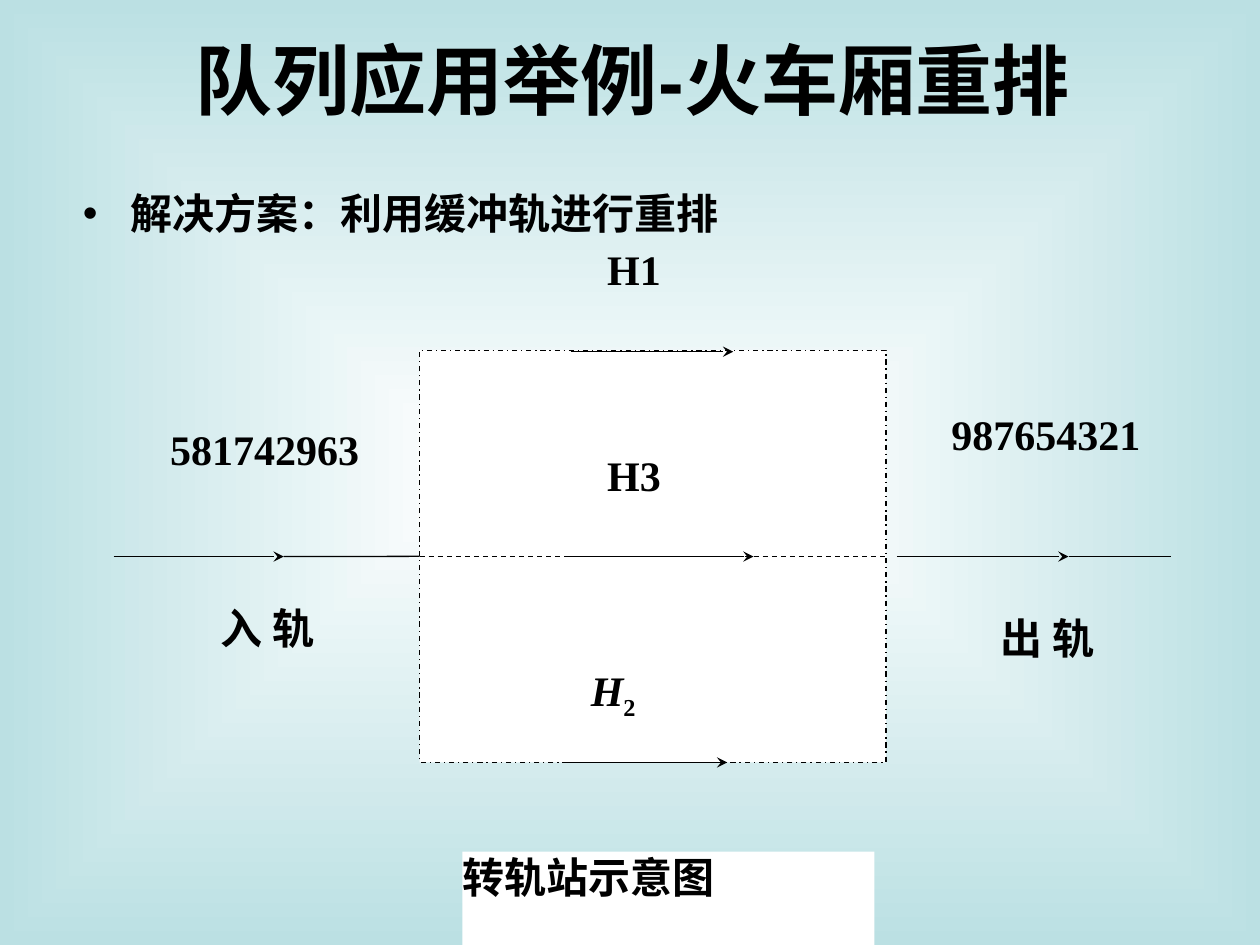
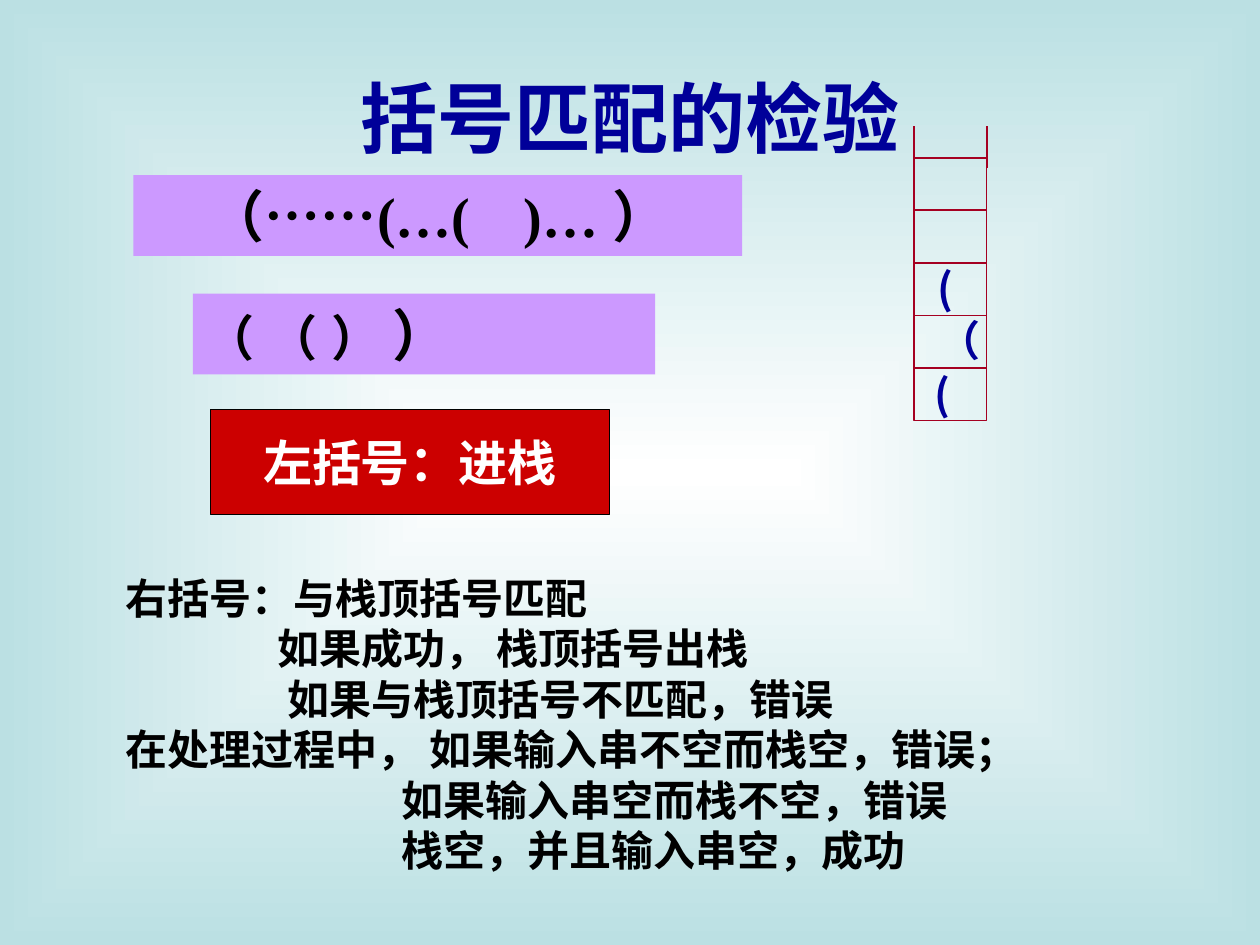
import pptx
import pptx.dml.color
import pptx.enum.dml
import pptx.enum.shapes
import pptx.enum.text
import pptx.oxml
import pptx.oxml.ns
import pptx.util

Cm = pptx.util.Cm
Pt = pptx.util.Pt
qn = pptx.oxml.ns.qn
ALIGN = pptx.enum.text.PP_ALIGN
ANCHOR = pptx.enum.text.MSO_ANCHOR
DASH = pptx.enum.dml.MSO_LINE

COLORS = {
    "ink": "000000",
    "white": "FFFFFF",
    "backdrop": "BBE0E3",
    "navy": "000099",
    "lilac": "CC99FF",
    "red": "CC0000",
    "stack": "A50021",
}
SERIF, SANS, CJK = "Times New Roman", "Arial", "Noto Sans CJK SC"
TRACK_Y = 11.22


def rgb(name):
    return pptx.dml.color.RGBColor.from_string(COLORS[name])


def child(parent, tag, **attributes):
    element = parent.makeelement(qn(tag), attributes)
    parent.append(element)
    return element


def paint_background(master):
    """Give every slide a rectangular gradient, white in the middle."""
    fill = master.background.fill
    fill.gradient()
    for stop, name in zip(fill.gradient_stops, ("white", "backdrop")):
        stop.color.rgb = rgb(name)
    gradient = master._element.find(".//" + qn("a:gradFill"))
    gradient.remove(gradient.find(qn("a:lin")))
    path = child(gradient, "a:path")
    path.set("path", "rect")
    child(path, "a:fillToRect", l="50000", t="50000", r="50000", b="50000")


def write(frame, text, size=24, font=SERIF, color="ink", italic=False, baseline=0,
          align=ALIGN.LEFT, indent=0, hanging=0, before=0, spacing=None, tabs=(),
          same_line=False):
    """Add a bold run, in a new paragraph unless same_line is set."""
    paragraph = frame.paragraphs[-1]
    if not same_line:
        if paragraph.runs:
            paragraph = frame.add_paragraph()
        paragraph.alignment = align
        paragraph.space_before = Pt(before)
        if spacing:
            paragraph.line_spacing = spacing
        properties = paragraph._p.get_or_add_pPr()
        properties.set("marL", str(Cm(indent)))
        properties.set("indent", str(Cm(-hanging)))
        if tabs:
            stops = child(properties, "a:tabLst")
            for position in tabs:
                child(stops, "a:tab", pos=str(Cm(position)), algn="l")
    run = paragraph.add_run()
    run.text = text
    run.font.size = Pt(size)
    run.font.bold = True
    run.font.italic = italic
    run.font.color.rgb = rgb(color)
    run.font.name = font
    run_properties = run.font._element
    child(run_properties, "a:ea", typeface=CJK)
    if baseline:
        run_properties.set("baseline", str(baseline * 1000))


def prepare(frame, margins=(0.25, 0.13), anchor=ANCHOR.TOP):
    frame.word_wrap = True
    frame.auto_size = pptx.enum.text.MSO_AUTO_SIZE.NONE
    frame.vertical_anchor = anchor
    frame.margin_left = frame.margin_right = Cm(margins[0])
    frame.margin_top = frame.margin_bottom = Cm(margins[1])
    return frame


def place(placeholder, left, top, width, height, anchor=ANCHOR.TOP):
    placeholder.left, placeholder.top = Cm(left), Cm(top)
    placeholder.width, placeholder.height = Cm(width), Cm(height)
    return prepare(placeholder.text_frame, anchor=anchor)


def set_title(slide, text, box, color="ink"):
    frame = place(slide.shapes.title, *box, anchor=ANCHOR.MIDDLE)
    write(frame, text, size=44, font=SANS, color=color, align=ALIGN.CENTER)


def text_area(slide, left, top, width, height, **format):
    box = slide.shapes.add_textbox(Cm(left), Cm(top), Cm(width), Cm(height))
    return prepare(box.text_frame, **format)


def label(slide, text, left, top, width, height, **format):
    """Diagram label without inner margins."""
    frame = text_area(slide, left, top, width, height, margins=(0, 0))
    write(frame, text, **format)
    return frame


def rectangle(slide, left, top, width, height, fill=None, line=None,
              line_width=0.75, dash=None):
    shape = slide.shapes.add_shape(pptx.enum.shapes.MSO_SHAPE.RECTANGLE,
                                   Cm(left), Cm(top), Cm(width), Cm(height))
    shape.shadow.inherit = False
    if fill:
        shape.fill.solid()
        shape.fill.fore_color.rgb = rgb(fill)
    else:
        shape.fill.background()
    if line:
        shape.line.color.rgb = rgb(line)
        shape.line.width = Pt(line_width)
        if dash:
            shape.line.dash_style = dash
    else:
        shape.line.fill.background()
    return shape


def straight(slide, x1, y1, x2, y2, color="ink", width=0.75, dash=None, arrow=False):
    connector = slide.shapes.add_connector(pptx.enum.shapes.MSO_CONNECTOR.STRAIGHT,
                                           Cm(x1), Cm(y1), Cm(x2), Cm(y2))
    connector.line.color.rgb = rgb(color)
    connector.line.width = Pt(width)
    if dash:
        connector.line.dash_style = dash
    properties = connector._element.spPr
    if arrow:
        child(properties.find(qn("a:ln")), "a:tailEnd", type="stealth")
    child(properties, "a:effectLst")
    return connector


def draw_tracks(slide):
    station = rectangle(slide, 8.46, 7.06, 9.4, 8.31, fill="white", line="ink",
                        dash=DASH.DASH_DOT)
    for start, end, arrow in ((2.29, 3.66, False), (3.66, 5.72, True),
                              (18.08, 20.17, False), (20.17, 21.54, True),
                              (21.54, 23.6, False)):
        straight(slide, start, TRACK_Y, end, TRACK_Y, arrow=arrow)
    entry = straight(slide, 5.72, TRACK_Y, 8.46, TRACK_Y)
    entry.end_connect(station, 1)
    through = straight(slide, 8.46, TRACK_Y, 17.86, TRACK_Y, dash=DASH.DASH)
    through.begin_connect(station, 1)
    through.end_connect(station, 3)
    for start, end, y in ((11.51, 14.78, 7.09), (11.4, 15.19, TRACK_Y),
                          (11.46, 14.66, 15.37)):
        straight(slide, start, y, end, y, arrow=True)


def build_train_slide(presentation):
    slide = presentation.slides.add_slide(presentation.slide_layouts[1])
    set_title(slide, "队列应用举例-火车厢重排", (1.96, 0, 21.59, 3.18))
    solution = place(slide.placeholders[1], 1.42, 3.76, 21.59, 1.52)
    write(solution, "解决方案：利用缓冲轨进行重排", font=SANS, indent=0.97,
          hanging=0.97, before=6, spacing=0.9)
    draw_tracks(slide)
    for text, *box in (("出 轨", 20.17, 12.34, 2.18, 1.78),
                       ("入 轨", 4.45, 12.14, 1.96, 1.68),
                       ("581742963", 3.43, 8.53, 4.24, 1.78),
                       ("987654321", 19.18, 8.23, 4.11, 1.78),
                       ("H1", 12.24, 4.9, 1.19, 2.16),
                       ("H3", 12.24, 9.07, 1.19, 2.16)):
        label(slide, text, *box)
    lower_buffer = label(slide, "H", 11.91, 13.39, 2.74, 3.23, italic=True)
    write(lower_buffer, "2", baseline=-25, same_line=True)
    caption = rectangle(slide, 9.32, 17.17, 8.31, 1.88, fill="white")
    write(prepare(caption.text_frame, margins=(0, 0)), "转轨站示意图")


def draw_stack(slide, left=18.42, top=3.18, width=1.47, height=1.06, rim=2.54):
    outline = {"color": "stack", "width": 1}
    for row in range(5):
        rectangle(slide, left, top + row * height, width, height, line="stack",
                  line_width=1)
    straight(slide, left, top, left, rim, **outline)
    straight(slide, left + width, top + 0.2, left + width, rim, **outline)
    for bracket, x, y, box_width in (("(", 18.59, 7.29, 1.02),
                                     ("（", 18.67, 6.22, 1.35),
                                     ("(", 18.64, 5.16, 1.02)):
        frame = text_area(slide, x, y, box_width, 1.27)
        write(frame, bracket, font=CJK, color="navy")


def build_bracket_slide(presentation):
    slide = presentation.slides.add_slide(presentation.slide_layouts[5])
    set_title(slide, "括号匹配的检验", (1.27, 0.76, 22.86, 3.18), color="navy")

    expression = rectangle(slide, 2.69, 3.53, 12.27, 1.63, fill="lilac")
    write(prepare(expression.text_frame), "\t（……(…(\t)… ）", size=32,
          tabs=(0.77, 7.14))
    brackets = rectangle(slide, 3.89, 5.92, 9.32, 1.63, fill="lilac")
    bracket_frame = prepare(brackets.text_frame)
    write(bracket_frame, "（\t（\t）", size=28, tabs=(1.43, 3.31))
    write(bracket_frame, " ）", size=32, font="Lato", same_line=True)

    draw_stack(slide)

    push = rectangle(slide, 4.24, 8.26, 8.05, 2.11, fill="red", line="ink")
    write(prepare(push.text_frame, anchor=ANCHOR.MIDDLE), "左括号：进栈", size=28,
          color="white", align=ALIGN.CENTER)

    rules = text_area(slide, 2.29, 11.73, 21.51, 5.72, anchor=ANCHOR.MIDDLE)
    for text, indent in (("右括号：与栈顶括号匹配", 0),
                         ("如果成功， 栈顶括号出栈", 3.05),
                         ("如果与栈顶括号不匹配，错误", 3.26),
                         ("在处理过程中， 如果输入串不空而栈空，错误；", 0),
                         ("如果输入串空而栈不空，错误", 5.56),
                         ("栈空，并且输入串空，成功", 5.56)):
        write(rules, text, indent=indent)


def main():
    presentation = pptx.Presentation()
    presentation.slide_width = Cm(25.4)
    presentation.slide_height = Cm(19.05)
    paint_background(presentation.slide_master)
    build_train_slide(presentation)
    build_bracket_slide(presentation)
    presentation.save("out.pptx")


if __name__ == "__main__":
    main()
